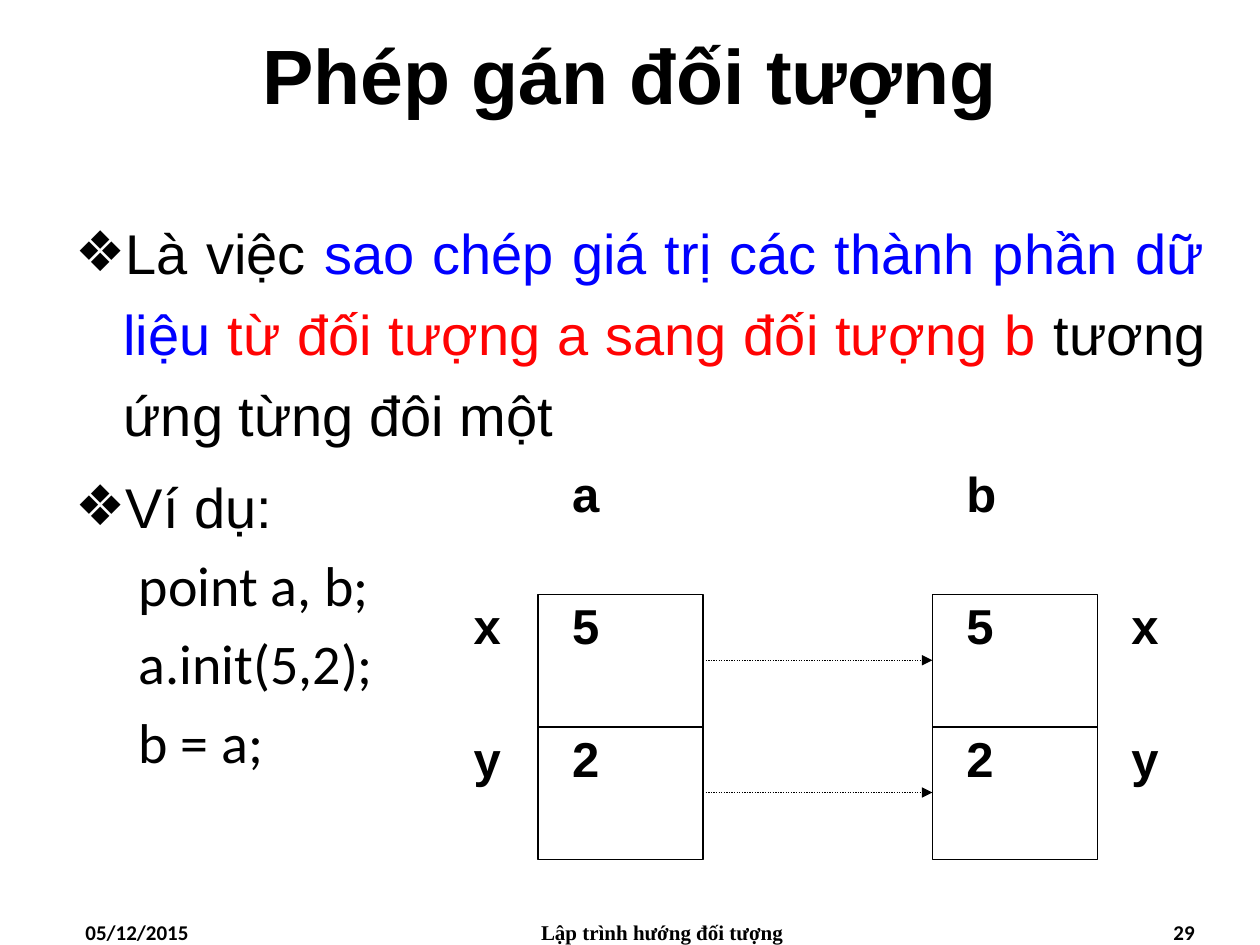
from typing import NamedTuple

from lxml.etree import SubElement
from pptx import Presentation
from pptx.dml.color import RGBColor
from pptx.enum.dml import MSO_LINE
from pptx.enum.shapes import MSO_CONNECTOR, MSO_SHAPE
from pptx.enum.text import MSO_ANCHOR, MSO_AUTO_SIZE, PP_ALIGN
from pptx.oxml.ns import qn
from pptx.util import Emu, Pt

SCALE = 9144  # EMU per px, 100 px to the inch
COLORS = {"ink": "000000", "blue": "0000FF", "red": "FF0303"}


class Box(NamedTuple):
    x: int
    y: int
    w: int
    h: int


class Label(NamedTuple):
    text: str
    box: Box


class Note(NamedTuple):
    text: str
    box: Box
    font: str
    align: PP_ALIGN


def px(n: int) -> Emu:
    return Emu(n * SCALE)


def rgb(name: str) -> RGBColor:
    return RGBColor.from_string(COLORS[name])


def apply(item, **values) -> None:
    """Set each named attribute on the item."""
    for key, value in values.items():
        setattr(item, key, value)


def place(shape, box: Box) -> None:
    left, top, width, height = map(px, box)
    apply(shape, left=left, top=top, width=width, height=height)


def add_run(para, text: str, font: str, size: int, bold: bool = False, color: str = "ink") -> None:
    run = para.add_run()
    run.text = text
    apply(run.font, name=font, size=Pt(size), bold=bold)
    run.font.color.rgb = rgb(color)


def set_list(para, left: int, first: int, mark: str = "") -> None:
    """Set the indents, and the bullet or its absence."""
    props = para._p.get_or_add_pPr()
    props.set("marL", str(px(left)))
    props.set("indent", str(px(first)))
    if mark:
        SubElement(props, qn("a:buChar")).set("char", mark)
    else:
        SubElement(props, qn("a:buNone"))


def add_text(shapes, box: Box, text: str, font: str, size: int, align: PP_ALIGN, pad: tuple[int, int]) -> None:
    frame = shapes.add_textbox(*map(px, box)).text_frame
    side, top = map(px, pad)
    apply(frame, word_wrap=True, margin_left=side, margin_right=side,
          margin_top=top, margin_bottom=top)
    para = frame.paragraphs[0]
    para.alignment = align
    add_run(para, text, font, size, True)


def add_line(shapes, x1: int, x2: int, y: int, arrow: bool = False) -> None:
    link = shapes.add_connector(MSO_CONNECTOR.STRAIGHT, *map(px, (x1, y, x2, y)))
    link.line.color.rgb = rgb("ink")
    link.line.width = Pt(0.75)
    if arrow:
        link.line.dash_style = MSO_LINE.ROUND_DOT
        SubElement(link.line._get_or_add_ln(), qn("a:tailEnd")).set("type", "triangle")
    SubElement(link._element.spPr, qn("a:effectLst"))


def add_object(shapes, box: Box) -> None:
    """Draw an object as a frame split into two fields."""
    rect = shapes.add_shape(MSO_SHAPE.RECTANGLE, *map(px, box))
    rect.shadow.inherit = False
    rect.fill.background()
    rect.line.color.rgb = rgb("ink")
    rect.line.width = Pt(0.75)
    add_line(shapes, box.x, box.x + box.w, box.y + box.h // 2)


def fill_title(title) -> None:
    place(title, Box(0, 0, 1000, 117))
    frame = title.text_frame
    apply(frame, vertical_anchor=MSO_ANCHOR.MIDDLE, auto_size=MSO_AUTO_SIZE.NONE)
    para = frame.paragraphs[0]
    para.alignment = PP_ALIGN.CENTER
    add_run(para, "Phép gán đối tượng", "Arial", 44, True)


def fill_body(body) -> None:
    place(body, Box(50, 158, 917, 539))
    frame = body.text_frame
    frame.auto_size = MSO_AUTO_SIZE.NONE
    points = [
        [("Là việc ", "ink"),
         ("sao chép giá trị các thành phần dữ liệu ", "blue"),
         ("từ đối tượng a sang đối tượng b", "red"),
         (" tương ứng từng đôi một", "ink")],
        [("Ví dụ:", "ink")],
    ]
    for i, runs in enumerate(points):
        para = frame.add_paragraph() if i else frame.paragraphs[0]
        apply(para, alignment=PP_ALIGN.JUSTIFY, line_spacing=1.2)
        set_list(para, 38, -38, "❖")
        for text, color in runs:
            add_run(para, text, "Arial", 32, color=color)
    for code in ("point a, b;", "a.init(5,2);", "b = a;"):
        para = frame.add_paragraph()
        para.level = 1
        set_list(para, 81, -31)
        add_run(para, code, "Calibri", 32)


def draw_copy(shapes) -> None:
    """Draw objects a and b, with arrows from field to field."""
    wide, row, top = 131, 105, 472
    left, right = 427, 740
    for x in (left, right):
        add_object(shapes, Box(x, top, wide, 2 * row))
    for i in range(2):
        add_line(shapes, left + wide, right, top + row // 2 + i * row, True)

    columns = [(375, 52, ("", "x", "y")), (453, 78, ("a", "5", "2")),
               (766, 78, ("b", "5", "2")), (897, 78, ("", "x", "y"))]
    labels = [Label(text, Box(x, top + (i - 1) * row, w, row))
              for x, w, texts in columns
              for i, text in enumerate(texts) if text]
    for label in labels:
        add_text(shapes, label.box, label.text, "Arial", 28, PP_ALIGN.LEFT, (1, 1))


def main() -> None:
    deck = Presentation()
    apply(deck, slide_width=px(1000), slide_height=px(750))
    slide = deck.slides.add_slide(deck.slide_layouts[1])
    fill_title(slide.shapes.title)
    fill_body(slide.placeholders[1])
    notes = [
        Note("05/12/2015", Box(58, 725, 233, 25), "Calibri", PP_ALIGN.LEFT),
        Note("Lập trình hướng đối tượng", Box(367, 725, 317, 25), "Times New Roman", PP_ALIGN.CENTER),
        Note("29", Box(725, 725, 233, 25), "Calibri", PP_ALIGN.RIGHT),
    ]
    for note in notes:
        add_text(slide.shapes, note.box, note.text, note.font, 12, note.align, (10, 5))
    draw_copy(slide.shapes)
    deck.save("out.pptx")


if __name__ == "__main__":
    main()
